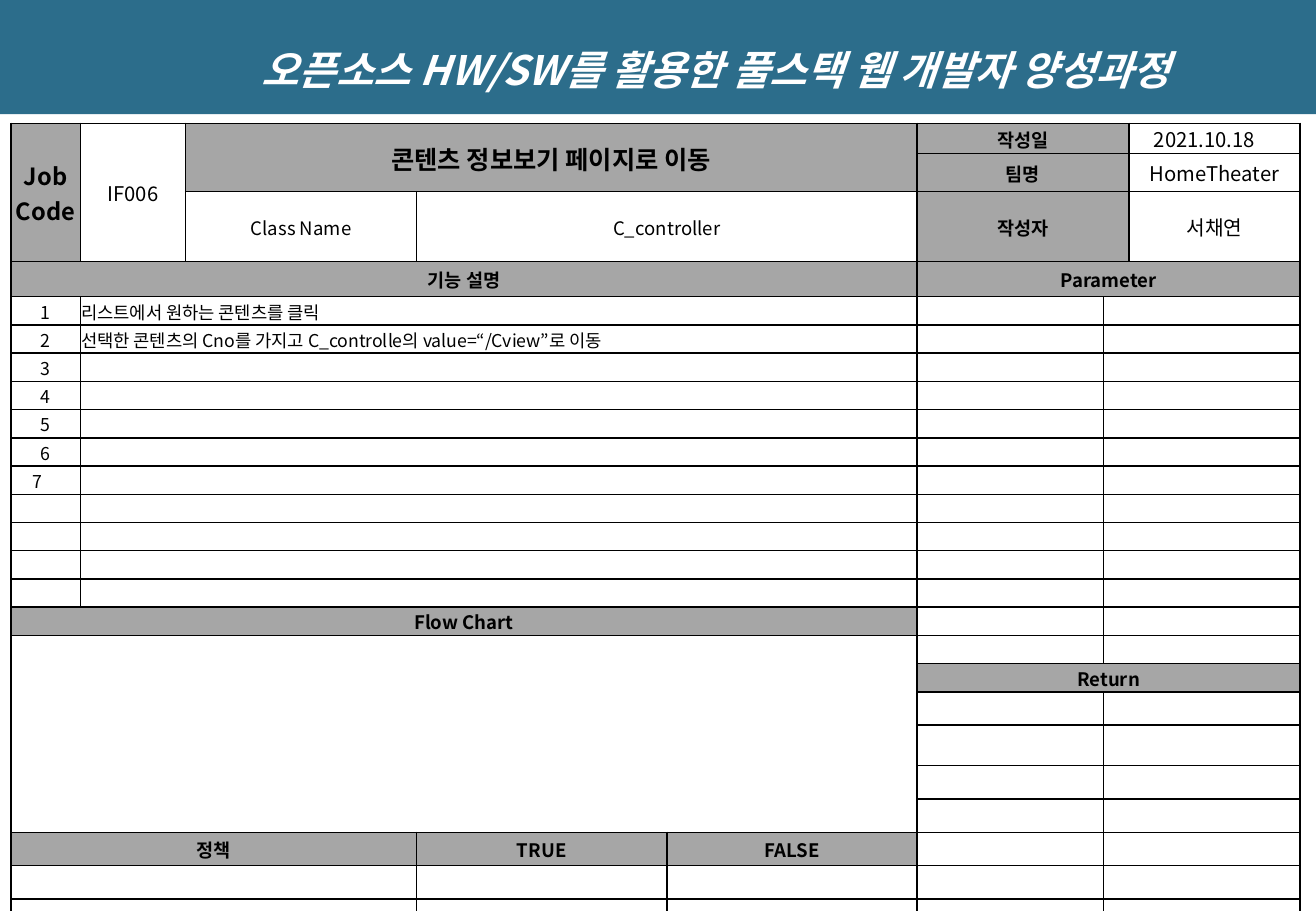
from dataclasses import dataclass

from lxml import etree
from pptx import Presentation
from pptx.dml.color import RGBColor
from pptx.enum.text import MSO_ANCHOR, MSO_AUTO_SIZE, PP_ALIGN
from pptx.oxml.ns import qn
from pptx.util import Cm, Pt

MIDDLE = MSO_ANCHOR.MIDDLE
NO_FIT = MSO_AUTO_SIZE.NONE
LEFT, CENTER = PP_ALIGN.LEFT, PP_ALIGN.CENTER


@dataclass(frozen=True)
class Theme:
    font: str = "Noto Sans CJK KR"
    band: str = "2C6D8B"
    head: str = "A6A6A6"
    white: str = "FFFFFF"
    black: str = "000000"
    title: float = 24
    subject: float = 15
    code: float = 14
    value: float = 12
    label: float = 11
    body: float = 10.5
    border: float = 1


class SlideBuilder:
    def __init__(self, s, theme):
        self.s = s
        self.theme = theme

    def set_text(self, tf, text, size, color, bold, align, italic=False):
        tf.text = text
        for p in tf.paragraphs:
            p.alignment = align
            for r in p.runs:
                font = r.font
                font.name = self.theme.font
                font.size = Pt(size)
                font.bold = bold
                font.italic = italic
                font.color.rgb = RGBColor.from_string(color)
                ea = etree.Element(qn("a:ea"), typeface=self.theme.font)
                font._element.find(qn("a:latin")).addnext(ea)

    def paint(self, target, color):
        target.fill.solid()
        target.fill.fore_color.rgb = RGBColor.from_string(color)

    def title(self, text, width, height, indent):
        sp = self.s.shapes.title
        sp.left, sp.top, sp.width, sp.height = 0, 0, width, height
        self.paint(sp, self.theme.band)
        tf = sp.text_frame
        tf.word_wrap = True
        tf.auto_size = NO_FIT
        tf.vertical_anchor = MIDDLE
        tf.margin_left = indent
        self.set_text(tf, text, self.theme.title, self.theme.white, True, CENTER, True)
        tf.paragraphs[0].line_spacing = 1.5

    def borders(self, cell):
        tc_pr = cell._tc.get_or_add_tcPr()
        for i, side in enumerate(("a:lnL", "a:lnR", "a:lnT", "a:lnB")):
            ln = etree.Element(qn(side), w=str(Pt(self.theme.border)))
            fill = etree.SubElement(ln, qn("a:solidFill"))
            etree.SubElement(fill, qn("a:srgbClr"), val=self.theme.black)
            tc_pr.insert(i, ln)

    def table(self, left, top, cols, rows):
        frame = self.s.shapes.add_table(
            len(rows), len(cols), left, top, Cm(sum(cols)), Cm(sum(rows)))
        self.grid = frame.table
        self.grid.first_row = False
        self.grid.horz_banding = False
        for col, width in zip(self.grid.columns, cols):
            col.width = Cm(width)
        for row, height in zip(self.grid.rows, rows):
            row.height = Cm(height)
        for cell in self.grid.iter_cells():
            cell.margin_left = cell.margin_right = cell.margin_top = Cm(0.02)
            cell.margin_bottom = 0
            cell.vertical_anchor = MIDDLE
            self.paint(cell, self.theme.white)
            self.borders(cell)
            etree.SubElement(cell.text_frame.paragraphs[0]._p, qn("a:endParaRPr"),
                             sz=str(int(self.theme.body * 100)))

    def cell(self, row, col, text="", size=0, span=(1, 1), align=CENTER):
        cell = self.grid.cell(row, col)
        if span != (1, 1):
            cell.merge(self.grid.cell(row + span[0] - 1, col + span[1] - 1))
        if text:
            self.set_text(cell.text_frame, text, size, self.theme.black, False, align)
        return cell

    def header(self, row, col, text, size, span=(1, 1)):
        cell = self.cell(row, col, text, size, span)
        self.paint(cell, self.theme.head)
        for p in cell.text_frame.paragraphs:
            for r in p.runs:
                r.font.bold = True


COLS = [1.45, 2.2, 4.83, 5.23, 5.23, 3.9, 0.53, 3.58]
ROWS = [0.62, 0.79, 1.46, 0.74] + [0.59] * 14 + [0.7, 0.84] + [0.7] * 5
STEP_ROWS = range(4, 15)
PARAMETER_ROW, FLOW_ROW, RETURN_ROW, POLICY_ROW = 3, 15, 17, 22
STEPS = {
    1: "리스트에서 원하는 콘텐츠를 클릭",
    2: "선택한 콘텐츠의 Cno를 가지고 C_controlle의 value=“/Cview”로 이동",
}
LAST_STEP = 7


def main():
    prs = Presentation()
    prs.slide_width, prs.slide_height = Cm(27.51), Cm(19.05)
    theme = Theme()
    s = SlideBuilder(prs.slides.add_slide(prs.slide_layouts[5]), theme)

    s.title("오픈소스 HW/SW를 활용한 풀스택 웹 개발자 양성과정",
            prs.slide_width, Cm(2.39), Cm(2.67))
    s.table(Cm(0.23), Cm(2.58), COLS, ROWS)

    s.header(0, 0, "Job\vCode", theme.code, (3, 1))
    s.cell(0, 1, "IF006", theme.value, (3, 1))
    s.header(0, 2, "콘텐츠 정보보기 페이지로 이동", theme.subject, (2, 3))
    s.cell(2, 2, "Class Name", theme.label)
    s.cell(2, 3, "C_controller", theme.label, (1, 2))
    details = [("작성일", "2021.10.18　"), ("팀명", "HomeTheater"), ("작성자", "서채연")]
    for row, (label, value) in enumerate(details):
        s.header(row, 5, label, theme.label, (1, 2))
        s.cell(row, 7, value, theme.value)

    s.header(PARAMETER_ROW, 0, "기능 설명", theme.label, (1, 5))
    s.header(PARAMETER_ROW, 5, "Parameter", theme.label, (1, 3))
    for number, row in enumerate(STEP_ROWS, 1):
        if number <= LAST_STEP:
            label = f"{number}　" if number == LAST_STEP else str(number)
            s.cell(row, 0, label, theme.body)
        s.cell(row, 1, STEPS.get(number, ""), theme.body, (1, 4), LEFT)

    s.header(FLOW_ROW, 0, "Flow Chart", theme.label, (1, 5))
    s.cell(FLOW_ROW + 1, 0, span=(6, 5))
    s.header(RETURN_ROW, 5, "Return", theme.label, (1, 3))
    for row in range(PARAMETER_ROW + 1, len(ROWS)):
        if row != RETURN_ROW:
            s.cell(row, 6, span=(1, 2))

    s.header(POLICY_ROW, 0, "정책", theme.label, (1, 3))
    s.header(POLICY_ROW, 3, "TRUE", theme.label)
    s.header(POLICY_ROW, 4, "FALSE", theme.label)
    for row in range(POLICY_ROW + 1, len(ROWS)):
        s.cell(row, 0, span=(1, 3))

    prs.save("out.pptx")


if __name__ == "__main__":
    main()
